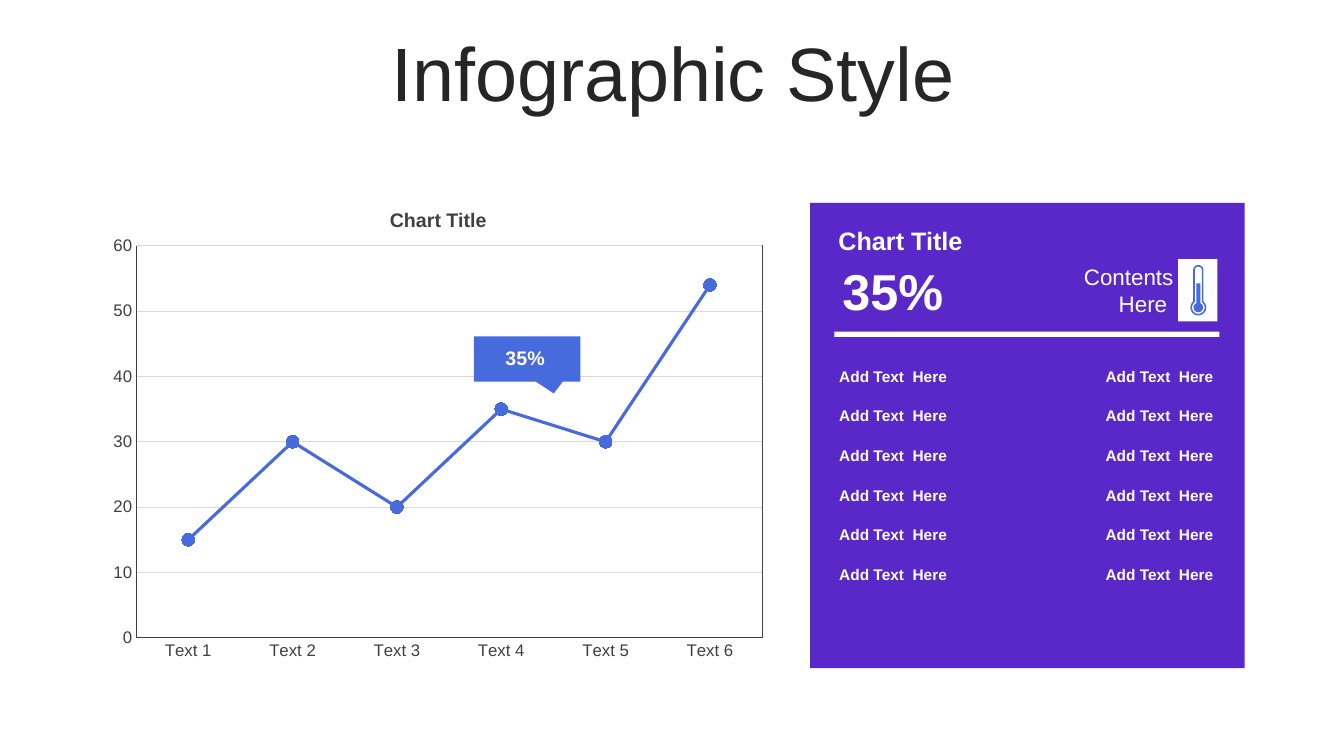
import math
from dataclasses import dataclass

import pptx
import pptx.chart.data
import pptx.dml.color
import pptx.enum.chart
import pptx.enum.shapes
import pptx.enum.text
import pptx.oxml
import pptx.oxml.ns
import pptx.util
from pptx.util import Cm

ALIGN = pptx.enum.text.PP_ALIGN
ANCHOR = pptx.enum.text.MSO_ANCHOR
SHAPE = pptx.enum.shapes.MSO_SHAPE


@dataclass(frozen=True)
class Theme:
    font: str = "Arial"
    heading: str = "262626"
    grey: str = "404040"
    grid: str = "D9D9D9"
    white: str = "FFFFFF"
    blue: str = "476ADD"
    purple: str = "5A28C8"
    heading_size: int = 54
    figure_size: int = 36
    panel_title_size: int = 18
    contents_size: int = 16
    label_size: int = 14
    axis_size: int = 12
    row_size: int = 11


THEME = Theme()


@dataclass(frozen=True)
class Box:
    """Position and size in centimetres."""
    left: float
    top: float
    width: float
    height: float

    def lengths(self) -> tuple:
        return Cm(self.left), Cm(self.top), Cm(self.width), Cm(self.height)


@dataclass(frozen=True)
class Label:
    text: str
    box: Box
    size: int
    color: str = THEME.white
    bold: bool = True
    align: ALIGN = ALIGN.LEFT
    anchor: ANCHOR = ANCHOR.TOP


@dataclass(frozen=True)
class Keyhole:
    """Thermometer outline: a stem that opens into a round bulb."""
    half_stem: float
    radius: float
    top: float
    rounded: bool = True


def rgb(color: str) -> pptx.dml.color.RGBColor:
    return pptx.dml.color.RGBColor.from_string(color)


def style_font(font, size: int, color: str, bold: bool = False) -> None:
    font.name, font.size, font.bold = THEME.font, pptx.util.Pt(size), bold
    font.color.rgb = rgb(color)


def style_line(line, color: str, width: float) -> None:
    line.color.rgb = rgb(color)
    line.width = pptx.util.Pt(width)


def paint(shape, color: str) -> None:
    shape.shadow.inherit = False
    shape.fill.solid()
    shape.fill.fore_color.rgb = rgb(color)
    shape.line.fill.background()


def add_block(page, kind: SHAPE, box: Box, color: str):
    block = page.shapes.add_shape(kind, *box.lengths())
    paint(block, color)
    return block


def add_label(page, label: Label) -> None:
    frame = page.shapes.add_textbox(*label.box.lengths()).text_frame
    frame.word_wrap = True
    frame.auto_size = pptx.enum.text.MSO_AUTO_SIZE.SHAPE_TO_FIT_TEXT
    frame.vertical_anchor = label.anchor
    para = frame.paragraphs[0]
    para.alignment = label.align
    span = para.add_run()
    span.text = label.text
    style_font(span.font, label.size, label.color, label.bold)


def add_title(page, text: str) -> None:
    title = page.shapes.title
    title.left, title.top, title.width, title.height = Box(0.89, 0.94, 32.16, 2).lengths()
    frame = title.text_frame
    frame.vertical_anchor = ANCHOR.MIDDLE
    para = frame.paragraphs[0]
    para.alignment = ALIGN.CENTER
    para.line_spacing = 0.9
    span = para.add_run()
    span.text = text
    style_font(span.font, THEME.heading_size, THEME.heading)


def add_line_chart(page, box: Box) -> None:
    data = pptx.chart.data.CategoryChartData()
    data.categories = [f"Text {number}" for number in range(1, 7)]
    data.add_series("Series 1", (15, 30, 20, 35, 30, 54))
    kind = pptx.enum.chart.XL_CHART_TYPE.LINE_MARKERS_STACKED
    chart = page.shapes.add_chart(kind, *box.lengths(), data).chart
    chart.has_title = chart.has_legend = False
    style_font(chart.font, THEME.axis_size, THEME.grey)

    # Axes
    for axis in (chart.category_axis, chart.value_axis):
        axis.major_tick_mark = axis.minor_tick_mark = pptx.enum.chart.XL_TICK_MARK.NONE
        style_font(axis.tick_labels.font, THEME.axis_size, THEME.grey)
        style_line(axis.format.line, THEME.grey, 0.75)
    values = chart.value_axis
    values.minimum_scale, values.maximum_scale, values.major_unit = 0, 60, 10
    values.has_major_gridlines = True
    style_line(values.major_gridlines.format.line, THEME.grid, 0.75)

    # Series
    chart.plots[0].vary_by_categories = False
    series = chart.plots[0].series[0]
    series.smooth = False
    style_line(series.format.line, THEME.blue, 2.25)
    series.marker.style = pptx.enum.chart.XL_MARKER_STYLE.CIRCLE
    series.marker.size = 9
    series.marker.format.fill.solid()
    series.marker.format.fill.fore_color.rgb = rgb(THEME.blue)
    style_line(series.marker.format.line, THEME.blue, 0.75)

    # Plot position and frame
    names = pptx.oxml.ns.nsdecls("c", "a")
    plot_area = chart.plots[0]._element.getparent()
    for old in plot_area.findall(pptx.oxml.ns.qn("c:layout")):
        plot_area.remove(old)
    places = "".join(f'<c:{tag} val="{value}"/>' for tag, value in (
        ("layoutTarget", "inner"), ("xMode", "edge"), ("yMode", "edge"),
        ("x", 0.054), ("y", 0.041), ("w", 0.926), ("h", 0.89)))
    plot_area.insert(0, pptx.oxml.parse_xml(
        f"<c:layout {names}><c:manualLayout>{places}</c:manualLayout></c:layout>"))
    plot_area.append(pptx.oxml.parse_xml(
        f'<c:spPr {names}><a:noFill/><a:ln w="9525"><a:solidFill>'
        f'<a:srgbClr val="{THEME.grey}"/></a:solidFill></a:ln></c:spPr>'))


def arc(x: float, y: float, radius: float, start: float, end: float) -> list:
    angles = [start + (end - start) * step / 24 for step in range(25)]
    return [(x + radius * math.cos(a), y + radius * math.sin(a)) for a in angles]


def outline(hole: Keyhole, x: float, y: float) -> list:
    neck = math.acos(hole.half_stem / hole.radius)
    bulb = arc(x, y, hole.radius, -neck, math.pi + neck)
    if hole.rounded:
        cap = arc(x, hole.top + hole.half_stem, hole.half_stem, math.pi, 2 * math.pi)
    else:
        cap = [(x - hole.half_stem, hole.top), (x + hole.half_stem, hole.top)]
    return [(Cm(px), Cm(py)) for px, py in bulb + cap]


def add_thermometer(page, x: float, y: float) -> None:
    holes = (Keyhole(0.05, 0.12, 7.14, False), Keyhole(0.09, 0.16, 6.72),
             Keyhole(0.13, 0.2, 6.68))
    first, *others = [outline(hole, x, y) for hole in holes]
    builder = page.shapes.build_freeform(*first[0])
    builder.add_line_segments(first[1:], close=True)
    for points in others:
        builder.move_to(*points[0])
        builder.add_line_segments(points[1:], close=True)
    paint(builder.convert_to_shape(), THEME.blue)


def main() -> None:
    deck = pptx.Presentation()
    deck.slide_width, deck.slide_height = Cm(33.87), Cm(19.05)
    page = deck.slides.add_slide(deck.slide_layouts.get_by_name("Title Only"))
    add_title(page, "Infographic Style")

    # Chart with its heading
    add_line_chart(page, Box(2.51, 5.74, 17.04, 11.1))
    add_label(page, Label("Chart Title", Box(6.32, 5.11, 9.45, 0.86), THEME.label_size,
                          THEME.grey, align=ALIGN.CENTER, anchor=ANCHOR.MIDDLE))

    # Panel
    add_block(page, SHAPE.RECTANGLE, Box(20.42, 5.11, 10.95, 11.73), THEME.purple)
    add_label(page, Label("35%", Box(20.9, 6.43, 3.2, 1.8), THEME.figure_size,
                          align=ALIGN.CENTER))
    add_label(page, Label("Chart Title", Box(20.88, 5.56, 4.75, 1.02),
                          THEME.panel_title_size, anchor=ANCHOR.MIDDLE))
    add_block(page, SHAPE.RECTANGLE, Box(21.03, 8.36, 9.7, 0.13), THEME.white)
    for text, left, align in (("Add Text  Here", 20.9, ALIGN.LEFT),
                              ("Add Text  Here ", 26.95, ALIGN.RIGHT)):
        for row in range(6):
            add_label(page, Label(text, Box(left, 9.12 + row, 3.99, 0.74),
                                  THEME.row_size, align=align))
    add_label(page, Label("Contents  Here ", Box(27.03, 6.5, 2.79, 1.63),
                          THEME.contents_size, bold=False, align=ALIGN.RIGHT))

    # Thermometer tile
    add_block(page, SHAPE.RECTANGLE, Box(29.69, 6.53, 0.99, 1.57), THEME.white)
    add_thermometer(page, 30.2, 7.75)

    # Callout over the chart
    callout = add_block(page, SHAPE.RECTANGULAR_CALLOUT,
                        Box(11.94, 8.48, 2.69, 1.14), THEME.blue)
    callout.adjustments[0], callout.adjustments[1] = 0.25, 0.76
    add_label(page, Label("35%", Box(11.94, 8.59, 2.59, 0.86), THEME.label_size,
                          align=ALIGN.CENTER))
    deck.save("out.pptx")


if __name__ == "__main__":
    main()
